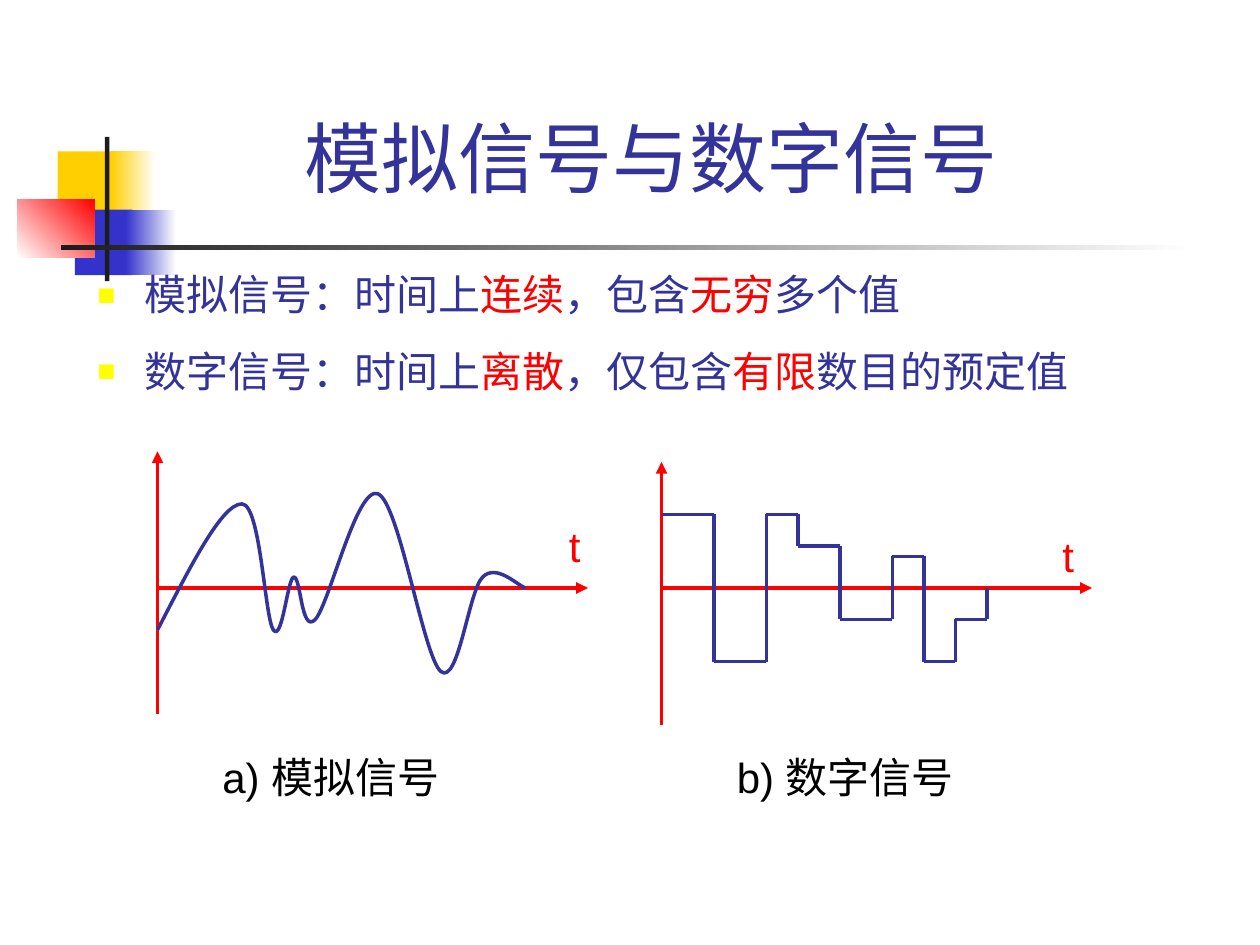
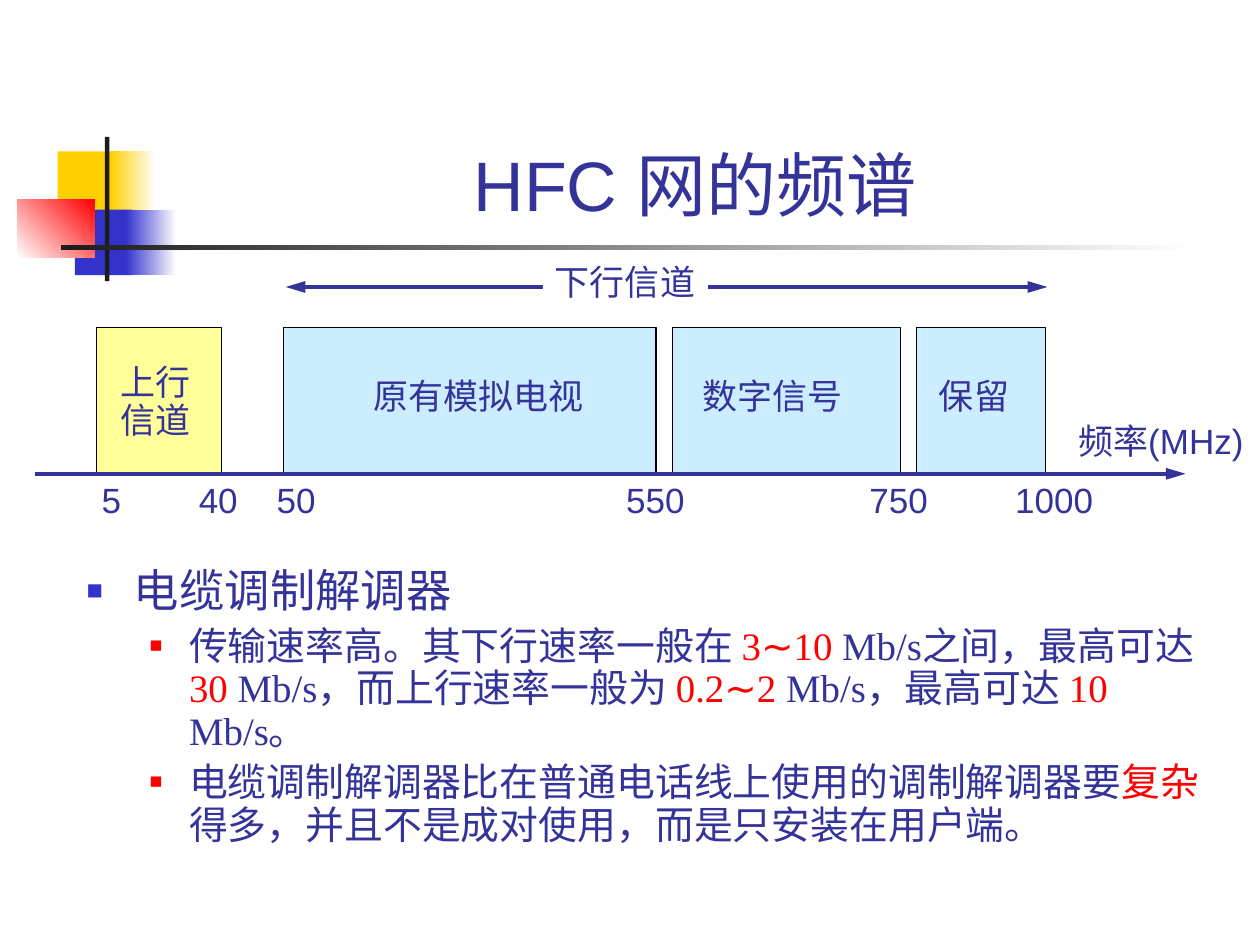
from itertools import pairwise

from lxml.etree import SubElement
from pptx import Presentation
from pptx.dml.color import RGBColor
from pptx.enum.shapes import MSO_CONNECTOR, MSO_SHAPE
from pptx.enum.text import MSO_ANCHOR, PP_ALIGN
from pptx.oxml.ns import qn
from pptx.util import Pt

# Shared colours and fonts
NAVY, RED, BLACK, WHITE = "333399", "FF0000", "000000", "FFFFFF"
GOLD, BLUE, CHARCOAL = "FFCF01", "3333CC", "1C1C1C"
YELLOW, PALE_YELLOW, PALE_BLUE = "FFFF00", "FFFF99", "CCECFF"
SANS, SERIF, CHINESE = "Arial", "Times New Roman", "Noto Sans CJK SC"

# Decoration: left, top, width, height, first colour, second colour, angle
DECORATION = [
    (33, 86.5, 34.5, 37.5, GOLD, None, 0),
    (63.25, 86.5, 25.75, 37.5, GOLD, WHITE, 0),
    (42.75, 119.75, 33, 37.5, BLUE, None, 0),
    (72, 119.75, 28.75, 37.5, BLUE, WHITE, 0),
    (10, 113.75, 44, 33.5, WHITE, RED, 45),
    (60, 78.25, 2.5, 82.5, CHARCOAL, None, 0),
    (34.75, 140, 648, 2.75, CHARCOAL, WHITE, 0),
]

# Analog wave: start, then two control points and an end for each piece
WAVE_START = (90, 360)
WAVE = [
    ((108.7, 324), (126.7, 288), (138.2, 288)),
    ((149, 288), (151.2, 352.8), (156.2, 360)),
    ((161.3, 367.2), (164.2, 331.2), (167.8, 329.8)),
    ((172, 329), (172, 362.2), (180, 354.2)),
    ((188, 346.3), (203.8, 277.2), (216, 282.2)),
    ((228.2, 287.3), (242, 375.8), (252, 383.8)),
    ((262, 391.7), (267.8, 337.7), (275.8, 329.8)),
    ((283.7, 321.8), (296, 334.8), (300.2, 336)),
]

# Digital signal: where each level ends, and its height on the slide
LEVELS = [(408, 294), (438, 378), (456, 294), (480, 312), (510, 354),
          (528, 318), (546, 378), (564, 354)]
ZERO = 336


def color(value):
    return RGBColor.from_string(value)


def add_block(page, left, top, width, height, fill, fade=None, angle=0, outline=None):
    """Rectangle with a plain fill, or a gradient when a fade colour is given."""
    block = page.shapes.add_shape(
        MSO_SHAPE.RECTANGLE, Pt(left), Pt(top), Pt(width), Pt(height))
    block.shadow.inherit = False
    if fade:
        block.fill.gradient()
        block.fill.gradient_angle = angle
        for stop, shade in zip(block.fill.gradient_stops, (fill, fade)):
            stop.color.rgb = color(shade)
    else:
        block.fill.solid()
        block.fill.fore_color.rgb = color(fill)
    if outline:
        block.line.color.rgb = color(outline)
        block.line.width = Pt(0.75)
    else:
        block.line.fill.background()


def add_line(page, start, end, shade, width=2.25, arrows=(), length="med"):
    """Straight line; arrows names the ends ("headEnd", "tailEnd") that get a tip."""
    line = page.shapes.add_connector(
        MSO_CONNECTOR.STRAIGHT, *(Pt(value) for value in (*start, *end)))
    line.line.color.rgb = color(shade)
    line.line.width = Pt(width)
    outline = line.line._get_or_add_ln()
    for tip in arrows:
        SubElement(outline, qn(f"a:{tip}"), type="triangle", w="med", len=length)
    SubElement(line._element.spPr, qn("a:effectLst"))


def add_box(page, left, top, width, height, wrap=True):
    box = page.shapes.add_textbox(Pt(left), Pt(top), Pt(width), Pt(height))
    box.text_frame.word_wrap = wrap
    return box


def format_span(span, size, shade, font):
    span.font.size = Pt(size)
    span.font.color.rgb = color(shade)
    span.font.name = font
    SubElement(span._r.get_or_add_rPr(), qn("a:ea"), typeface=CHINESE)


def add_label(page, left, top, width, text, size=20, shade=NAVY, font=SERIF,
              spacing=None):
    """Unwrapped text, one paragraph per line; spacing is the line pitch in points."""
    box = add_box(page, left, top, width, size * 1.6, wrap=False)
    box.text_frame.text = text
    for para in box.text_frame.paragraphs:
        if spacing:
            para.line_spacing = Pt(spacing)
        for span in para.runs:
            format_span(span, size, shade, font)
    return box


def add_title(page, left, top, width, height, text, size):
    box = add_box(page, left, top, width, height)
    box.text_frame.vertical_anchor = MSO_ANCHOR.BOTTOM
    box.text_frame.text = text
    para = box.text_frame.paragraphs[0]
    para.alignment = PP_ALIGN.CENTER
    format_span(para.runs[0], size, NAVY, SANS)


def add_bullet(para, symbol, shade, percent, margin, hanging):
    properties = para._p.get_or_add_pPr()
    properties.set("marL", str(Pt(margin)))
    properties.set("indent", str(-Pt(hanging)))
    paint = SubElement(properties, qn("a:buClr"))
    SubElement(paint, qn("a:srgbClr"), val=shade)
    SubElement(properties, qn("a:buSzPct"), val=str(percent * 1000))
    SubElement(properties, qn("a:buFont"), typeface=SANS)
    SubElement(properties, qn("a:buChar"), char=symbol)


def fill_para(para, pieces, size, font, spacing, before):
    """Pieces alternate between navy and red; the range sign is set in sans."""
    para.line_spacing = Pt(spacing)
    if before:
        para.space_before = Pt(before)
    for index, piece in enumerate(pieces):
        for part in piece.replace("∼", "|∼|").split("|"):
            span = para.add_run()
            span.text = part
            format_span(span, size, RED if index % 2 else NAVY,
                        SANS if part == "∼" else font)


def add_paras(frame, count):
    return [frame.paragraphs[0]] + [frame.add_paragraph() for _ in range(count - 1)]


def add_page(deck):
    page = deck.slides.add_slide(deck.slide_layouts[6])
    for left, top, width, height, fill, fade, angle in DECORATION:
        add_block(page, left, top, width, height, fill, fade, angle)
    return page


def add_axes(page, left, top, label_left):
    """Time axis and value axis of one signal plot."""
    add_line(page, (left, top + 150), (left, top), RED, arrows=["tailEnd"])
    add_line(page, (left, ZERO), (left + 246, ZERO), RED, arrows=["tailEnd"])
    add_label(page, label_left, top + 35.75, 30, "t", 24, RED, SANS)


def add_wave(page):
    """Freeform through the piece ends, each segment then bent into a Bezier curve."""
    builder = page.shapes.build_freeform(*(Pt(value) for value in WAVE_START))
    ends = [(Pt(x), Pt(y)) for _, _, (x, y) in WAVE]
    builder.add_line_segments(ends, close=False)
    wave = builder.convert_to_shape()
    wave.shadow.inherit = False
    wave.fill.background()
    wave.line.color.rgb = color(NAVY)
    wave.line.width = Pt(2)
    segments = list(wave._element.iter(qn("a:lnTo")))
    for segment, points in zip(segments, WAVE):
        segment.tag = qn("a:cubicBezTo")
        segment.remove(segment[0])
        for x, y in points:
            SubElement(segment, qn("a:pt"),
                       x=str(Pt(x) - wave.left), y=str(Pt(y) - wave.top))


def add_steps(page, left):
    corners = []
    for right, level in LEVELS:
        corners += [(left, level), (right, level)]
        left = right
    corners.append((left, ZERO))
    for start, end in pairwise(corners):
        add_line(page, start, end, NAVY, 2)


def build_signals(deck):
    page = add_page(deck)
    add_title(page, 66, 47.75, 612, 72, "模拟信号与数字信号", 44)

    # Two plots with captions
    add_axes(page, 90, 258, 318)
    add_wave(page)
    add_axes(page, 378, 264, 600)
    add_steps(page, 378)
    for left, caption in ((120, "a) 模拟信号"), (414, "b) 数字信号")):
        add_label(page, left, 423.75, 168, caption, 24, BLACK, SANS, spacing=31.2)

    # Definitions
    definitions = [
        ("模拟信号：时间上", "连续", "，包含", "无穷", "多个值"),
        ("数字信号：时间上", "离散", "，仅包含", "有限", "数目的预定值"),
    ]
    box = add_box(page, 48, 147.75, 672, 80)
    for index, para in enumerate(add_paras(box.text_frame, len(definitions))):
        add_bullet(para, "▪", YELLOW, 140, 27.5, 27.5)
        fill_para(para, definitions[index], 24, CHINESE, 31.2, 12.5 if index else 0)


def build_spectrum(deck):
    page = add_page(deck)
    add_title(page, 90.5, 66.25, 613.5, 66, "HFC 网的频谱", 40)

    # Downstream range
    add_line(page, (163.25, 164), (598.5, 164), NAVY,
             arrows=["headEnd", "tailEnd"], length="lg")
    add_block(page, 310.25, 145.5, 94.25, 31.5, WHITE)
    add_label(page, 310, 143.25, 96, "下行信道", spacing=26)

    # Bands: left, width, fill, label left, label top, pitch, label
    bands = [
        (55.25, 71.25, PALE_YELLOW, 62, 204.75, 21.75, "上行\n信道"),
        (162, 213, PALE_BLUE, 206.5, 208.25, 26, "原有模拟电视"),
        (384.25, 130.25, PALE_BLUE, 394.5, 208.25, 26, "数字信号"),
        (523.75, 73.75, PALE_BLUE, 529.5, 208.25, 26, "保留"),
    ]
    for left, width, fill, label_left, label_top, pitch, label in bands:
        add_block(page, left, 187, width, 83.5, fill, outline=BLACK)
        add_label(page, label_left, label_top, width, label, spacing=pitch)

    # Frequency axis
    add_line(page, (19.75, 270.75), (677.5, 270.75), NAVY, arrows=["tailEnd"], length="lg")
    ticks = {"5": 51, "40": 106.5, "50": 151, "550": 350.75, "750": 489.75, "1000": 573}
    for tick, left in ticks.items():
        add_label(page, left, 269.75, 60, tick, font=SANS)
    unit = add_label(page, 609, 234.25, 114, "频率", spacing=26)
    span = unit.text_frame.paragraphs[0].add_run()
    span.text = "(MHz)"
    format_span(span, 20, NAVY, SANS)

    # Cable modem notes
    box = add_box(page, 42.5, 320.5, 654, 193)
    heading, *notes = add_paras(box.text_frame, 3)
    add_bullet(heading, "■", BLUE, 60, 27, 27)
    fill_para(heading, ["电缆调制解调器"], 25.9, SERIF, 28.5, 0)
    details = [
        ("传输速率高。其下行速率一般在 ", "3∼10", " Mb/s之间，最高可达 ", "30 ",
         "Mb/s，而上行速率一般为 ", "0.2∼2", " Mb/s，最高可达 ", "10", " Mb/s。"),
        ("电缆调制解调器比在普通电话线上使用的调制解调器要", "复杂",
         "得多，并且不是成对使用，而是只安装在用户端。"),
    ]
    for para, pieces in zip(notes, details):
        para.level = 1
        add_bullet(para, "■", RED, 55, 58.5, 22.5)
        fill_para(para, pieces, 22.2, SERIF, 24.3, 5)


def main():
    deck = Presentation()
    deck.slide_width, deck.slide_height = Pt(720), Pt(540)
    build_signals(deck)
    build_spectrum(deck)
    deck.save("out.pptx")


if __name__ == "__main__":
    main()
